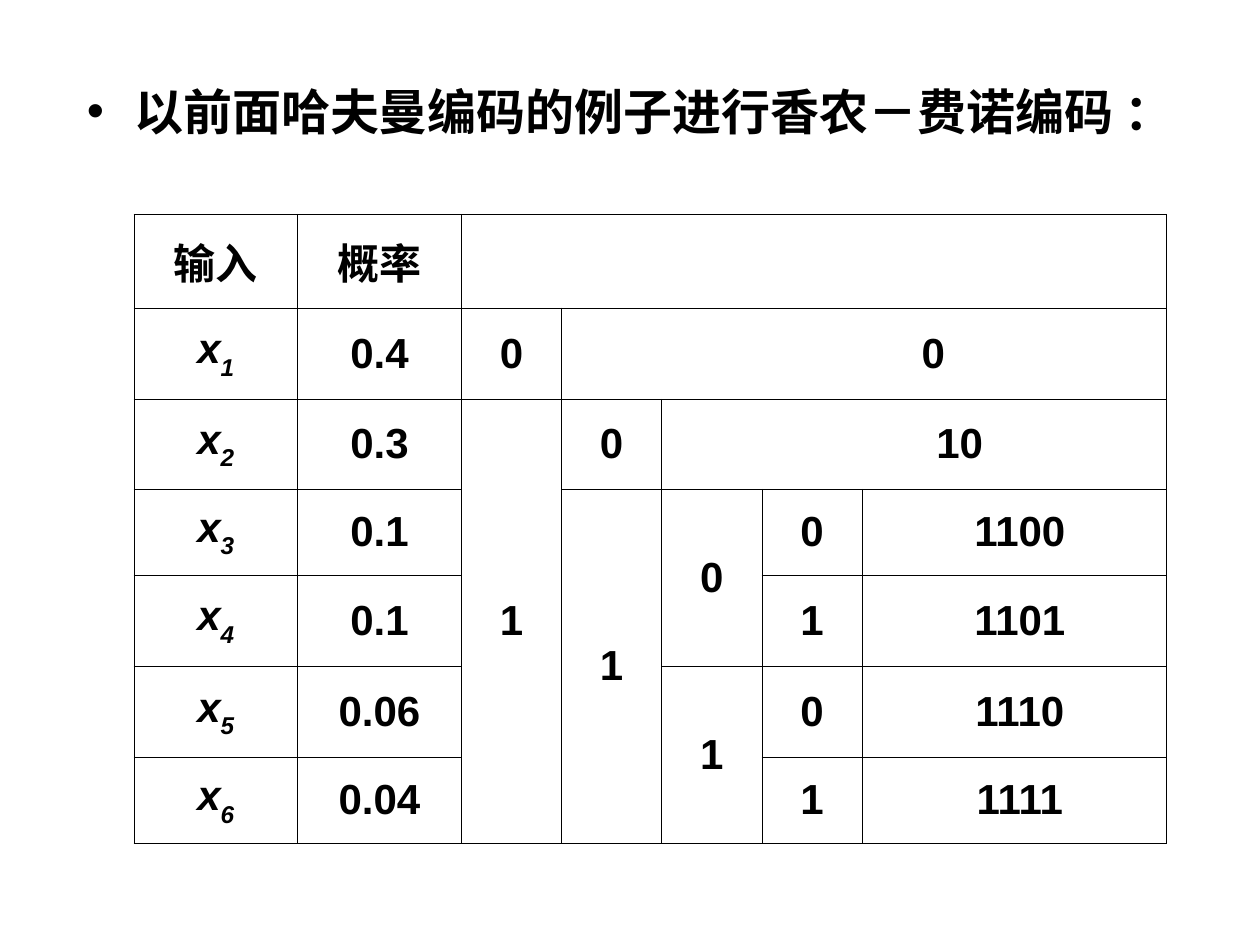
import pptx
import pptx.dml.color
import pptx.enum.text
import pptx.oxml.ns
import pptx.util
from lxml import etree

Cm = pptx.util.Cm
Pt = pptx.util.Pt
qn = pptx.oxml.ns.qn

BLACK = pptx.dml.color.RGBColor(0x00, 0x00, 0x00)
FONT = "Arial"

COL_WIDTHS = [3.3, 3.3] + [2.02] * 4 + [6.13]
ROW_HEIGHTS = [1.89, 1.84, 1.81, 1.73, 1.85, 1.83, 1.73]
PROBABILITIES = ["0.4", "0.3", "0.1", "0.1", "0.06", "0.04"]

# (row, column, row span, column span, digit)
BRANCHES = [
    (1, 2, 1, 1, "0"), (2, 2, 5, 1, "1"),
    (2, 3, 1, 1, "0"), (3, 3, 4, 1, "1"),
    (3, 4, 2, 1, "0"), (5, 4, 2, 1, "1"),
    (3, 5, 1, 1, "0"), (4, 5, 1, 1, "1"),
    (5, 5, 1, 1, "0"), (6, 5, 1, 1, "1"),
]
# (row, first column, code word, left margin in cm)
CODES = [
    (1, 3, "0", 3.05), (2, 4, "10", 2.1),
    (3, 6, "1100", 0.48), (4, 6, "1101", 0.48),
    (5, 6, "1110", 0.48), (6, 6, "1111", 0.48),
]


def add_run(p, text, size, **extra):
    r = p.add_run()
    r.text = text
    values = {"name": FONT, "size": Pt(size), "bold": True, **extra}
    for name, value in values.items():
        setattr(r.font, name, value)
    r.font.color.rgb = BLACK
    return r


def add_heading(slide, left, top, width, height):
    tf = slide.shapes.add_textbox(left, top, width, height).text_frame
    tf.word_wrap = True
    p = tf.paragraphs[0]
    pPr = p._p.get_or_add_pPr()
    indent = Cm(0.96)
    pPr.set("marL", str(indent))
    pPr.set("indent", str(-indent))
    etree.SubElement(pPr, qn("a:buFont")).set("typeface", FONT)
    etree.SubElement(pPr, qn("a:buChar")).set("char", "•")
    add_run(p, "以前面哈夫曼编码的例子进行香农－费诺编码 ：", 28)


def style_cell(cell):
    """Thin black borders on all sides, no fill, centred vertically."""
    tcPr = cell._tc.get_or_add_tcPr()
    for side in ("a:lnL", "a:lnR", "a:lnT", "a:lnB"):
        ln = etree.SubElement(tcPr, qn(side))
        ln.set("w", str(Pt(0.45)))
        fill = etree.SubElement(ln, qn("a:solidFill"))
        etree.SubElement(fill, qn("a:srgbClr")).set("val", str(BLACK))
    cell.fill.background()
    cell.vertical_anchor = pptx.enum.text.MSO_ANCHOR.MIDDLE


def write_cell(cell, text, **extra):
    p = cell.text_frame.paragraphs[0]
    p.alignment = pptx.enum.text.PP_ALIGN.CENTER
    add_run(p, text, 24, **extra)
    return p


def add_code_table(slide, left, top):
    """Inputs and probabilities, then the code tree as merged cells."""
    frame = slide.shapes.add_table(
        len(ROW_HEIGHTS), len(COL_WIDTHS), left, top,
        Cm(sum(COL_WIDTHS)), Cm(sum(ROW_HEIGHTS)))
    table = frame.table
    table.first_row = table.horz_banding = False
    for col, width in zip(table.columns, COL_WIDTHS):
        col.width = Cm(width)
    for row, height in zip(table.rows, ROW_HEIGHTS):
        row.height = Cm(height)
    for cell in table.iter_cells():
        style_cell(cell)

    last = len(COL_WIDTHS) - 1
    write_cell(table.cell(0, 0), "输入")
    write_cell(table.cell(0, 1), "概率")
    table.cell(0, 2).merge(table.cell(0, last))

    for row, probability in enumerate(PROBABILITIES, 1):
        p = write_cell(table.cell(row, 0), "x", italic=True)
        r = add_run(p, str(row), 24, italic=True)
        r.font._element.set("baseline", "-30000")
        write_cell(table.cell(row, 1), probability)

    for row, col, rows, cols, digit in BRANCHES:
        cell = table.cell(row, col)
        if rows > 1 or cols > 1:
            cell.merge(table.cell(row + rows - 1, col + cols - 1))
        write_cell(cell, digit)

    for row, col, code, margin in CODES:
        cell = table.cell(row, col)
        if col < last:
            cell.merge(table.cell(row, last))
        cell.margin_left = Cm(margin)
        write_cell(cell, code)


def main():
    prs = pptx.Presentation()
    prs.slide_width, prs.slide_height = Cm(25.4), Cm(19.05)
    slide = prs.slides.add_slide(prs.slide_layouts[6])
    add_heading(slide, Cm(1.5), Cm(1.52), Cm(22.83), Cm(1.6))
    add_code_table(slide, Cm(2.7), Cm(4.32))
    prs.save("out.pptx")


if __name__ == "__main__":
    main()
